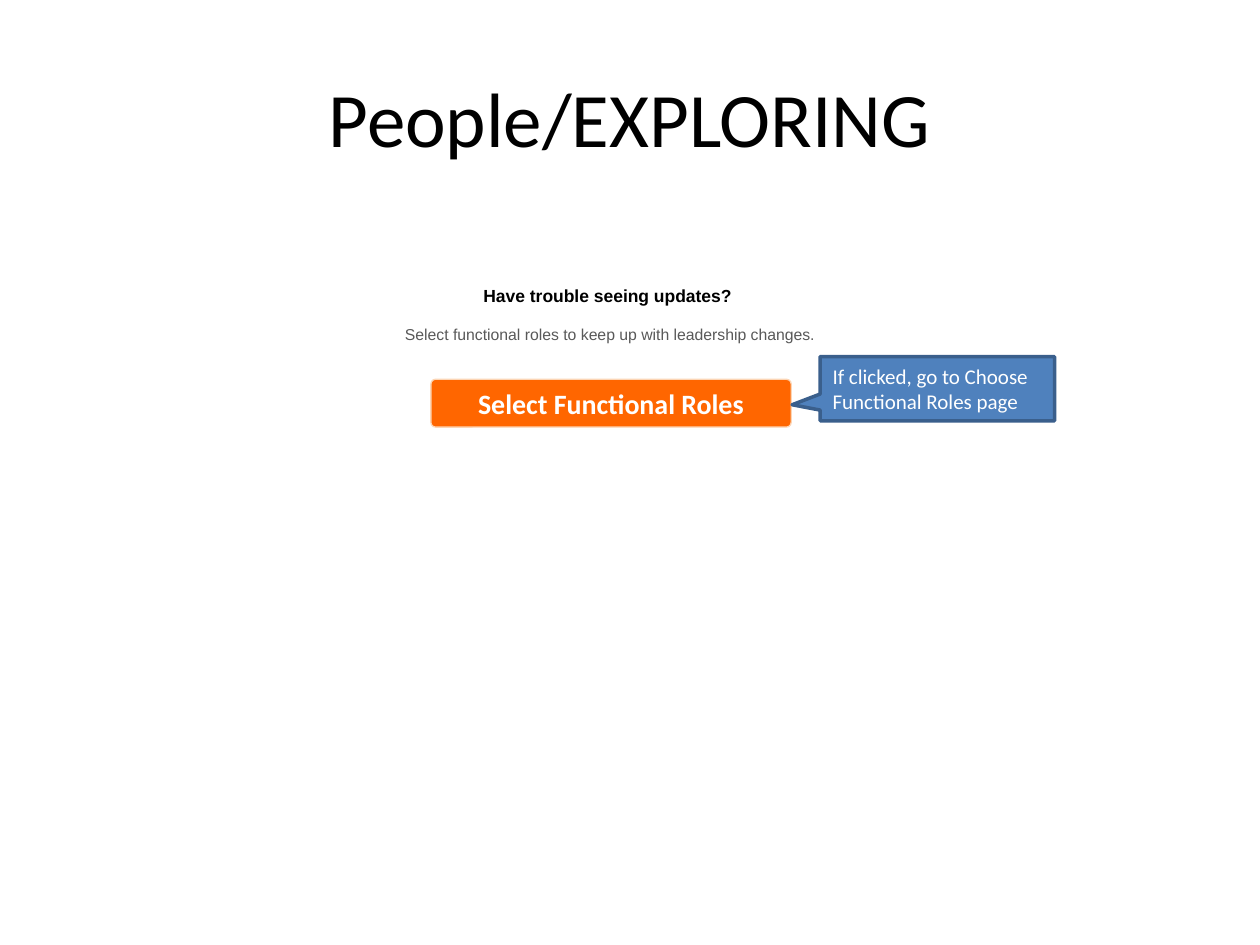
from pptx import Presentation
from pptx.dml.color import RGBColor
from pptx.enum.shapes import MSO_SHAPE as Shape
from pptx.enum.text import MSO_ANCHOR as Anchor, PP_ALIGN as Align
from pptx.util import Inches, Pt


def color(hex_code):
    return RGBColor.from_string(hex_code)


def place(element, left, top, width, height):
    element.left, element.top = Inches(left), Inches(top)
    element.width, element.height = Inches(width), Inches(height)


def write(paragraph, text, size, hex_code, font="Calibri", bold=False, align=Align.CENTER):
    paragraph.alignment = align
    run = paragraph.add_run()
    run.text = text
    run.font.name = font
    run.font.size = Pt(size)
    run.font.bold = bold
    run.font.color.rgb = color(hex_code)


def add_title(slide, text):
    title = slide.shapes.title
    place(title, 0.5, 0.3, 9, 1.25)
    title.text_frame.vertical_anchor = Anchor.MIDDLE
    write(title.text_frame.paragraphs[0], text, 44, "000000")


def add_prompt(slide, question, advice):
    prompt = slide.shapes.add_textbox(Inches(1.22), Inches(2.21), Inches(7.24), Inches(0.56))
    frame = prompt.text_frame
    frame.word_wrap = True
    write(frame.paragraphs[0], question, 10, "000000", "Arial", bold=True)
    advice_line = frame.add_paragraph()
    advice_line.space_before = Pt(11)
    write(advice_line, advice, 9, "595959", "Arial")


def add_box(slide, preset, bounds, adjustments, fill, outline, outline_width):
    box = slide.shapes.add_shape(preset, *map(Inches, bounds))
    for index, value in enumerate(adjustments):
        box.adjustments[index] = value
    box.shadow.inherit = False
    box.fill.solid()
    box.fill.fore_color.rgb = color(fill)
    box.line.color.rgb = color(outline)
    box.line.width = Pt(outline_width)
    box.text_frame.word_wrap = True
    box.text_frame.vertical_anchor = Anchor.MIDDLE
    return box.text_frame.paragraphs[0]


def main():
    deck = Presentation()
    deck.slide_width, deck.slide_height = Inches(10), Inches(7.5)
    slide = deck.slides.add_slide(deck.slide_layouts[5])

    add_title(slide, "People/EXPLORING")
    add_prompt(slide, "Have trouble seeing updates? ",
               "Select functional roles to keep up with leadership changes.")
    button_label = add_box(slide, Shape.ROUNDED_RECTANGLE, (3.42, 3.01, 2.86, 0.38),
                           [0.1], "FF6600", "FCD5B5", 0.75)
    write(button_label, "Select Functional Roles", 16, "FFFFFF", bold=True)
    callout_note = add_box(slide, Shape.RECTANGULAR_CALLOUT, (6.51, 2.83, 1.86, 0.51),
                           [-0.62, 0.25], "4F81BD", "3A5F8C", 2)
    write(callout_note, "If clicked, go to Choose Functional Roles page", 12, "FFFFFF",
          align=Align.LEFT)

    deck.save("out.pptx")


if __name__ == "__main__":
    main()
